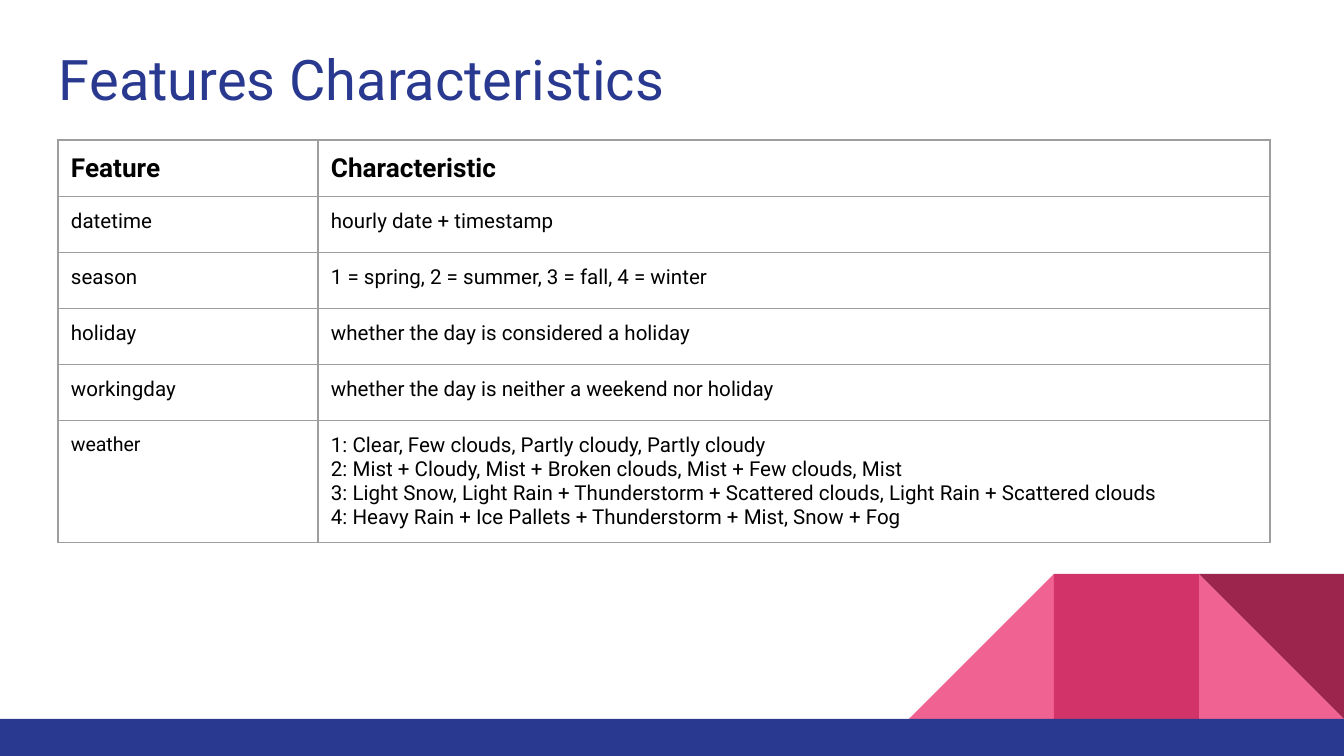
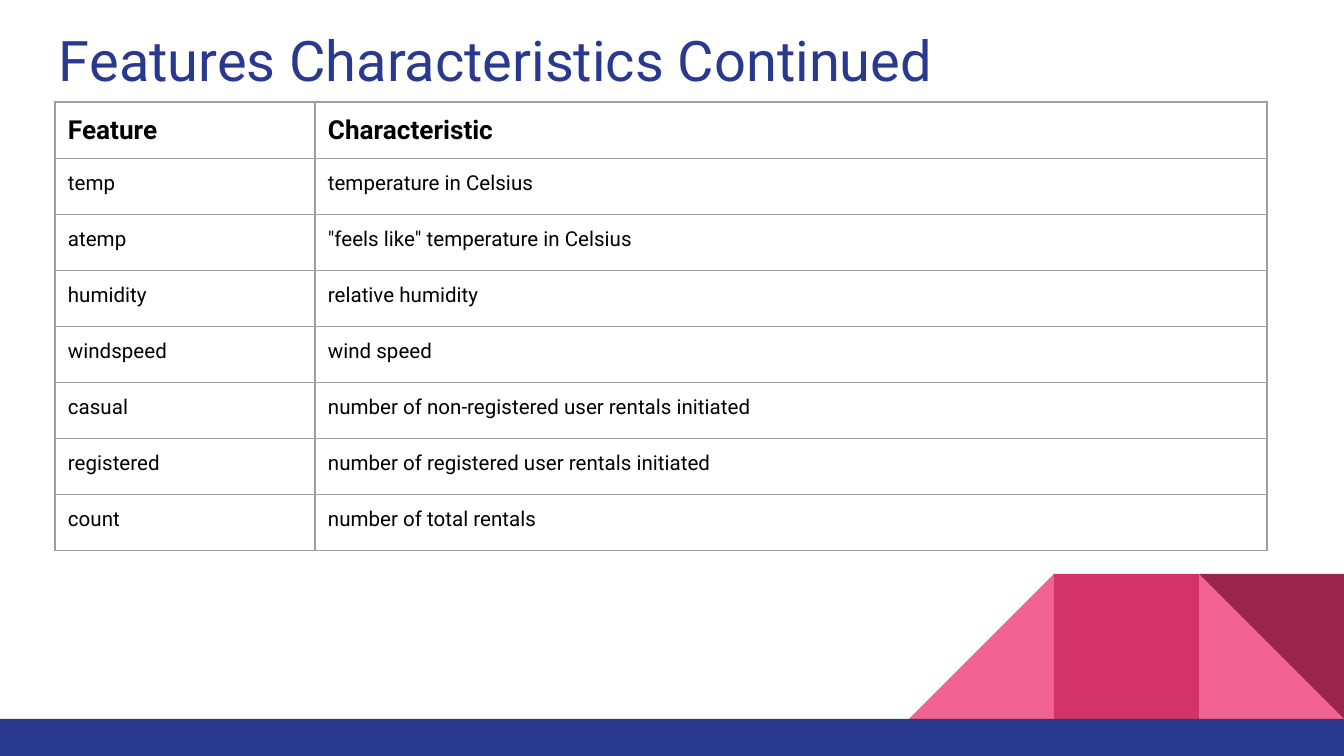
import pptx
import pptx.dml.color
import pptx.enum.shapes
import pptx.enum.text
import pptx.oxml
import pptx.oxml.ns
import pptx.util

SHAPE = pptx.enum.shapes.MSO_SHAPE
SCALE = 9144000 / 1344  # EMU in one px
WIDTH, HEIGHT = 1344, 756

BLUE, GREY, BLACK = "2A3990", "9E9E9E", "000000"
PINK, ROSE, WINE = "F06292", "D23369", "9C254D"


def px(n):
    return pptx.util.Emu(round(n * SCALE))


def rgb(color):
    return pptx.dml.color.RGBColor.from_string(color)


class Deck:
    """Shared style and the current slide."""

    font = "Roboto"
    inset = 13
    columns = (260, 952)
    row_height = 56

    def __init__(self):
        self.prs = pptx.Presentation()
        self.prs.slide_width, self.prs.slide_height = px(WIDTH), px(HEIGHT)
        self.s = None

    def slide(self, title, top):
        self.s = self.prs.slides.add_slide(self.prs.slide_layouts[5])
        self.decoration()
        self.title(title, top)

    def style(self, p, size, color, bold=False):
        p.font.name, p.font.size = self.font, pptx.util.Pt(size)
        p.font.bold = bold
        p.font.color.rgb = rgb(color)
        p.alignment = pptx.enum.text.PP_ALIGN.LEFT

    def margins(self, box):
        box.margin_left = box.margin_right = px(self.inset)
        box.margin_top = box.margin_bottom = px(self.inset)

    def shape(self, kind, x, y, w, h, color, rotation=0, flip=False):
        sp = self.s.shapes.add_shape(kind, px(x), px(y), px(w), px(h))
        sp.shadow.inherit = False
        sp.fill.solid()
        sp.fill.fore_color.rgb = rgb(color)
        sp.line.fill.background()
        sp.rotation = rotation
        if flip:
            sp._element.spPr.get_or_add_xfrm().set("flipH", "1")

    def decoration(self):
        # Three square tiles above the footer band, right aligned
        side, band_top = 145, 719
        top = band_top - side
        left, middle, right = (WIDTH - n * side for n in (3, 2, 1))
        triangle = SHAPE.RIGHT_TRIANGLE
        self.shape(triangle, right, top, side, side, PINK)
        self.shape(triangle, left, top, side, side, PINK, flip=True)
        self.shape(SHAPE.RECTANGLE, middle, top, side, side, ROSE)
        self.shape(triangle, right, top, side, side, WINE, rotation=180)
        self.shape(SHAPE.RECTANGLE, 0, band_top, WIDTH, HEIGHT - band_top, BLUE)

    def title(self, text, top):
        sp = self.s.shapes.title
        sp.left, sp.top, sp.width, sp.height = px(46), px(top), px(1252), px(88)
        tf = sp.text_frame
        tf.text = text
        tf.word_wrap = True
        tf.auto_size = pptx.enum.text.MSO_AUTO_SIZE.NONE
        tf.vertical_anchor = pptx.enum.text.MSO_ANCHOR.TOP
        self.margins(tf)
        self.style(tf.paragraphs[0], 30, BLUE)

    def borders(self, cell):
        tc_pr = cell._tc.get_or_add_tcPr()
        for side in ("lnL", "lnR", "lnT", "lnB"):
            tc_pr.append(pptx.oxml.parse_xml(
                f'<a:{side} {pptx.oxml.ns.nsdecls("a")} w="{pptx.util.Pt(0.75)}">'
                f'<a:solidFill><a:srgbClr val="{GREY}"/></a:solidFill></a:{side}>'))

    def cell(self, cell, text, size, bold):
        self.borders(cell)
        cell.fill.background()
        self.margins(cell)
        cell.text = text
        for p in cell.text_frame.paragraphs:
            self.style(p, size, BLACK, bold)

    def table(self, x, y, features, sizes=None):
        rows = [("Feature", "Characteristic"), *features]
        table = self.s.shapes.add_table(
            len(rows), len(self.columns), px(x), px(y),
            px(sum(self.columns)), px(self.row_height * len(rows))).table
        table.first_row = table.horz_banding = False
        for column, width in zip(table.columns, self.columns):
            column.width = px(width)
        for i, row in enumerate(rows):
            table.rows[i].height = px(self.row_height)
            for j, text in enumerate(row):
                size = 14 if i == 0 else (sizes or {}).get(text, 11)
                self.cell(table.cell(i, j), text, size, bold=i == 0)


def main():
    deck = Deck()

    # Calendar and weather features
    weather = "\n".join((
        "1: Clear, Few clouds, Partly cloudy, Partly cloudy",
        "2: Mist + Cloudy, Mist + Broken clouds, Mist + Few clouds, Mist",
        "3: Light Snow, Light Rain + Thunderstorm + Scattered clouds, "
        "Light Rain + Scattered clouds",
        "4: Heavy Rain + Ice Pallets + Thunderstorm + Mist, Snow + Fog",
    ))
    deck.slide("Features Characteristics", 31)
    deck.table(58, 140, [
        ("datetime", "hourly date + timestamp"),
        ("season", "1 = spring, 2 = summer, 3 = fall, 4 = winter"),
        ("holiday", "whether the day is considered a holiday"),
        ("workingday", "whether the day is neither a weekend nor holiday"),
        ("weather", weather),
    ], sizes={"weather": 10.5})

    # Measurements and rental counts
    deck.slide("Features Characteristics Continued", 12)
    deck.table(55, 102, [
        ("temp", "temperature in Celsius"),
        ("atemp", '"feels like" temperature in Celsius'),
        ("humidity", "relative humidity"),
        ("windspeed", "wind speed"),
        ("casual", "number of non-registered user rentals initiated"),
        ("registered", "number of registered user rentals initiated"),
        ("count", "number of total rentals"),
    ])

    deck.prs.save("out.pptx")


if __name__ == "__main__":
    main()
